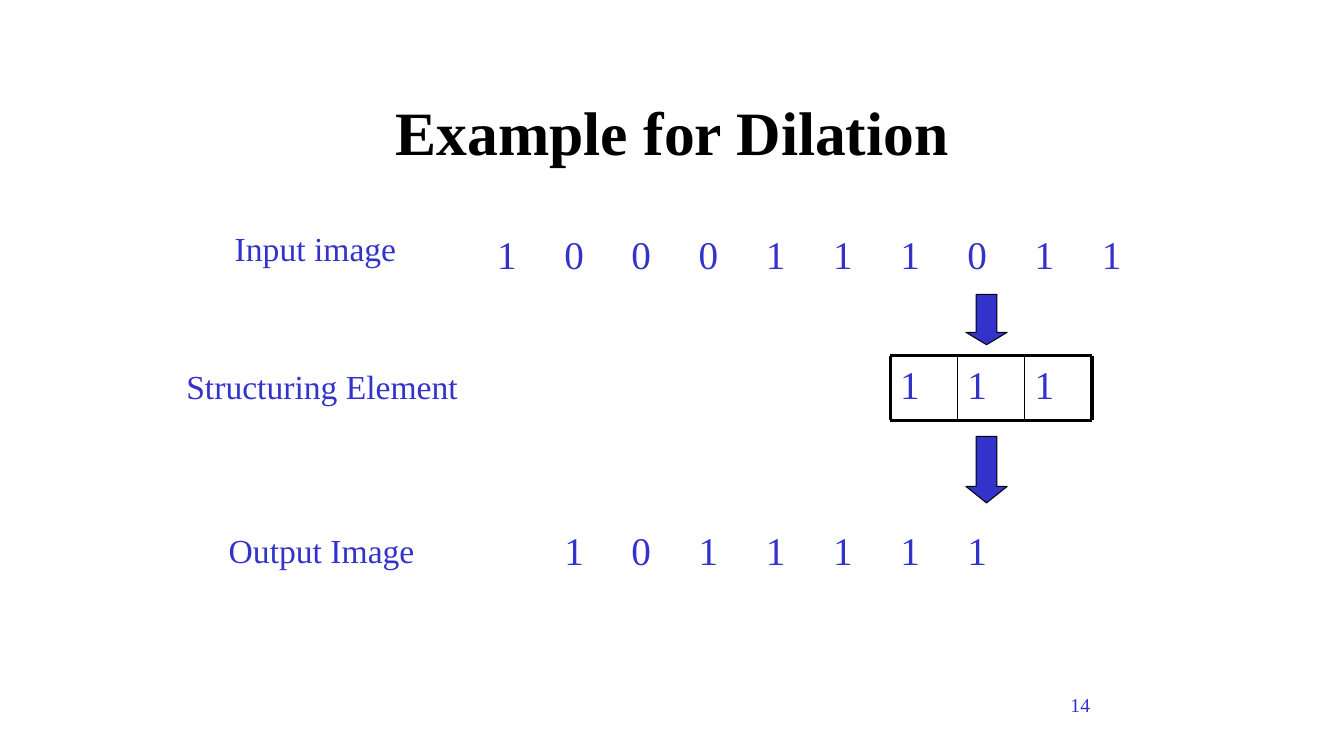
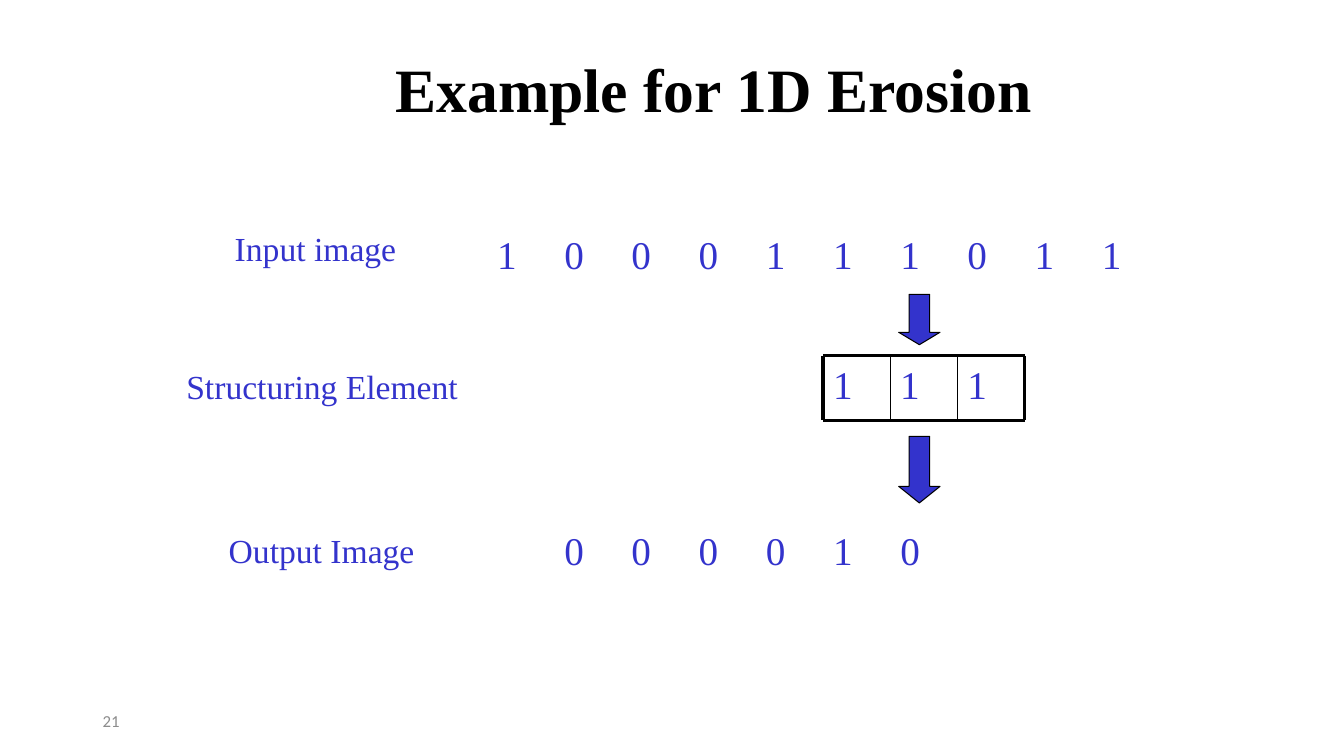
"""Build two slides that work through one-dimensional dilation and erosion."""
from lxml import etree
from pptx import Presentation
from pptx import util as u
from pptx.dml.color import RGBColor
from pptx.enum import shapes, text
from pptx.oxml.ns import qn

COLORS = {"ink": "000000", "blue": "3333CC", "paper": "FFFFFF", "gray": "8C8C8C"}
SERIF = "Times New Roman"
FORMATS = {
    "title": {"name": SERIF, "size": u.Pt(44), "bold": True, "color": "ink"},
    "label": {"name": SERIF, "size": u.Pt(24), "color": "blue"},
    "digit": {"name": SERIF, "size": u.Pt(28), "color": "blue"},
    "number": {"name": SERIF, "size": u.Pt(14), "color": "blue"},
    "plain number": {"name": "Calibri", "size": u.Pt(12), "color": "gray"},
}
GRID_LEFT, COLUMN, COLUMNS = 4.83, 2 / 3, 10
ELEMENT_TOP, ELEMENT_HEIGHT = 3.53, 0.64
INPUT = "1000111011"
ELEMENT = "111"
LABELS = [
    ("Input image", (2.23, 2.21, 1.8, 0.5)),
    ("Structuring Element", (1.75, 3.58, 2.9, 0.5)),
    ("Output Image", (2.17, 5.21, 2.04, 0.5)),
]
ARROWS = [(2.92, 0.5, 0.3), (4.33, 0.66, 0.4)]


def inches(*lengths):
    """Turn numbers into lengths."""
    return [u.Inches(length) for length in lengths]


def color(name):
    """Look up a named colour."""
    return RGBColor.from_string(COLORS[name])


def write(frame, words, style, align=text.PP_ALIGN.LEFT):
    """Put one formatted paragraph into a text frame."""
    para = frame.paragraphs[0]
    para.alignment = align
    span = para.add_run()
    span.text = words
    for key, value in FORMATS[style].items():
        if key == "color":
            span.font.color.rgb = color(value)
        else:
            setattr(span.font, key, value)
    return para


def add_text(parent, words, place, style, align=text.PP_ALIGN.LEFT,
             anchor=text.MSO_ANCHOR.TOP, wrap=True):
    """Add a text box to a slide or group."""
    frame = parent.shapes.add_textbox(*inches(*place)).text_frame
    frame.word_wrap = wrap
    frame.vertical_anchor = anchor
    if not wrap:
        frame.auto_size = text.MSO_AUTO_SIZE.SHAPE_TO_FIT_TEXT
    write(frame, words, style, align)


def add_title(page, words, left, top):
    """Move and fill the title placeholder."""
    box = page.shapes.title
    box.left, box.top, box.width, box.height = inches(left, top, 8.5, 1.25)
    frame = box.text_frame
    frame.auto_size = text.MSO_AUTO_SIZE.NONE
    frame.vertical_anchor = text.MSO_ANCHOR.MIDDLE
    write(frame, words, "title", text.PP_ALIGN.CENTER)


def add_preset(page, kind, place, fill, line):
    """Add a filled preset shape with a thin outline."""
    shape = page.shapes.add_shape(kind, *inches(*place))
    shape.shadow.inherit = False
    shape.fill.solid()
    shape.fill.fore_color.rgb = color(fill)
    shape.line.color.rgb = color(line)
    shape.line.width = u.Pt(0.75)
    return shape


def add_digits(page, digits, top, start=0):
    """Add a one-row table with digits from the given column on."""
    place = inches(GRID_LEFT, top, COLUMN * COLUMNS, 0.58)
    table = page.shapes.add_table(1, COLUMNS, *place).table
    table.first_row = table.horz_banding = False
    for cell in table.iter_cells():
        cell.fill.background()
        cell.margin_top = u.Inches(0.13)
    for column, digit in enumerate(digits, start):
        para = write(table.cell(0, column).text_frame, digit, "digit")
        para.line_spacing = 0.86


def add_line(parent, start, end, width):
    """Add a straight black line."""
    line = parent.shapes.add_connector(
        shapes.MSO_CONNECTOR.STRAIGHT, *inches(*start, *end))
    line.line.color.rgb = color("ink")
    line.line.width = u.Pt(width)
    etree.SubElement(line._element.spPr, qn("a:effectLst"))


def add_element(page, column):
    """Draw the structuring element and its arrows from a grid column."""
    group = page.shapes.add_group_shape()
    left = GRID_LEFT + column * COLUMN
    edges = [left + step * COLUMN for step in range(len(ELEMENT) + 1)]
    bottom = ELEMENT_TOP + ELEMENT_HEIGHT
    for edge, digit in zip(edges, ELEMENT):
        add_text(group, digit, (edge, ELEMENT_TOP, COLUMN, ELEMENT_HEIGHT), "digit")
    for level in (ELEMENT_TOP, bottom):
        add_line(group, (left, level), (edges[-1], level), 2.25)
    for edge in edges:
        width = 2.25 if edge in (left, edges[-1]) else 1
        add_line(group, (edge, ELEMENT_TOP), (edge, bottom), width)
    for top, height, head in ARROWS:
        arrow = add_preset(page, shapes.MSO_SHAPE.DOWN_ARROW,
                           (left + 0.75, top, 0.41, height), "blue", "ink")
        arrow.adjustments[0], arrow.adjustments[1] = 0.5, head


def add_example(deck, title, title_place, output, column):
    """Add a slide with input, structuring element and output rows."""
    page = deck.slides.add_slide(deck.slide_layouts[5])
    add_title(page, title, *title_place)
    add_preset(page, shapes.MSO_SHAPE.RECTANGLE, (1.67, 7.17, 10, 0.33),
               "paper", "paper")
    for words, place in LABELS:
        add_text(page, words, place, "label", wrap=False)
    add_digits(page, INPUT, 2.25)
    add_digits(page, output, 5.18, start=1)
    add_element(page, column)
    return page


def main():
    """Build and save the deck."""
    deck = Presentation()
    deck.slide_width, deck.slide_height = inches(13.33, 7.5)
    page = add_example(deck, "Example for Dilation", (2.42, 0.67), "1011111", 6)
    add_text(page, "14", (8.83, 6.83, 2.08, 0.5), "number", text.PP_ALIGN.RIGHT)
    page = add_example(deck, "Example for 1D Erosion", (2.83, 0.25), "000010", 5)
    add_text(page, "21", (0.92, 6.95, 3, 0.4), "plain number",
             anchor=text.MSO_ANCHOR.MIDDLE)
    deck.save("out.pptx")


if __name__ == "__main__":
    main()
